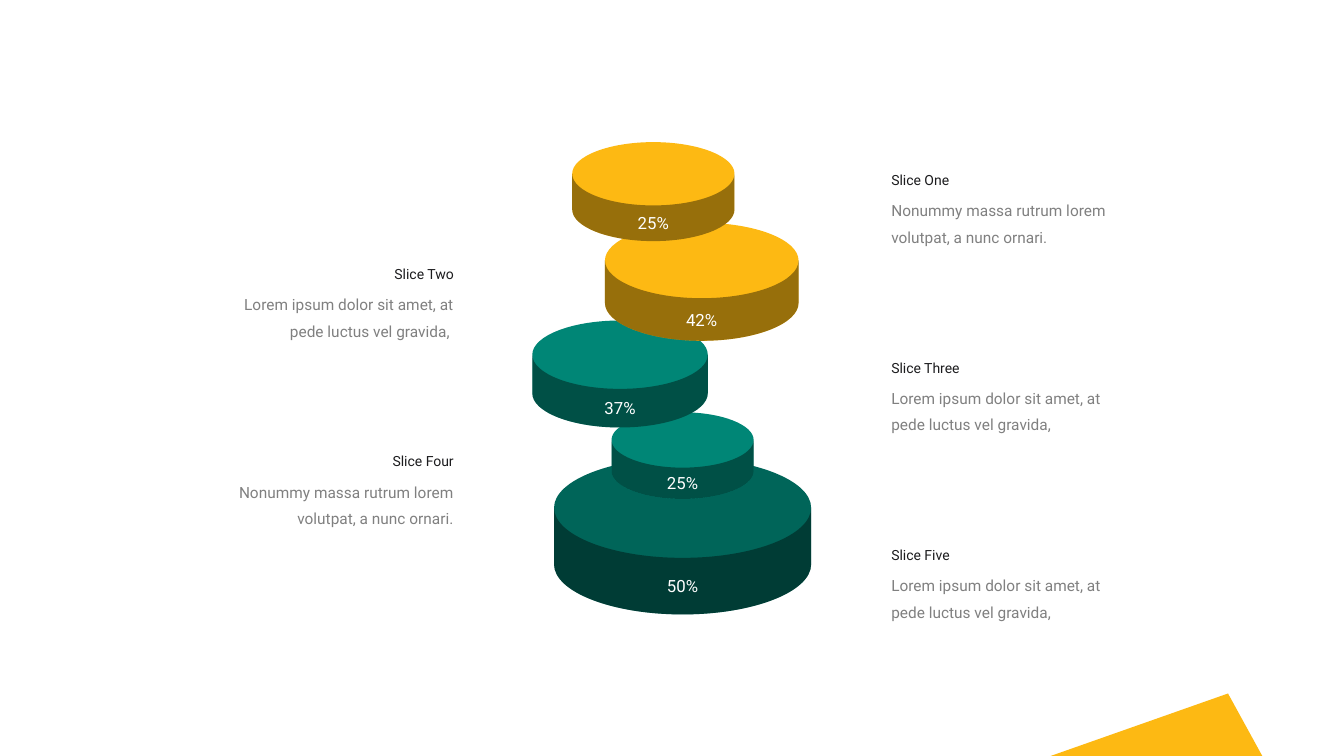
from dataclasses import dataclass

from lxml import etree
from pptx import Presentation
from pptx.dml.color import RGBColor
from pptx.enum import text
from pptx.oxml import ns
from pptx.util import Inches, Pt


@dataclass(frozen=True)
class Theme:
    font: str = "Roboto"
    yellow: str = "FDB913"
    teal: str = "008676"
    deep_teal: str = "006559"
    shade: str = "000000"
    white: str = "FFFFFF"
    ink: str = "1C1C1E"
    grey: str = "808080"
    share_size: int = 12
    heading_size: int = 10
    body_size: int = 11
    body_leading: int = 19


T = Theme()
LEFT, RIGHT = text.PP_ALIGN.LEFT, text.PP_ALIGN.RIGHT
COLUMNS = {LEFT: 8.84, RIGHT: 2.1}
FIRST_TOP, ROW_STEP = 1.65, 0.93
RIM_RATIO, SIDE_RATIO = 0.39, 0.22
CURVE = 0.55

NONUMMY = "Nonummy massa rutrum lorem volutpat, a nunc ornari."
LOREM = "Lorem ipsum dolor sit amet, at pede luctus vel gravida,"
SLICES = [
    ("Slice One", NONUMMY, LEFT, "25%", T.yellow, 6.48, 1.41, 1.61),
    ("Slice Two", LOREM + " ", RIGHT, "42%", T.yellow, 6.96, 2.21, 1.92),
    ("Slice Three", LOREM, LEFT, "37%", T.teal, 6.15, 3.18, 1.74),
    ("Slice Four", NONUMMY, RIGHT, "25%", T.teal, 6.77, 4.09, 1.41),
    ("Slice Five", LOREM, LEFT, "50%", T.deep_teal, 6.77, 4.54, 2.55),
]


def bend(sp, first):
    lines = sp._element.xpath(".//a:lnTo")[first:first + 3]
    curve = lines[0]
    for line in lines[1:]:
        curve.append(line[0])
        line.getparent().remove(line)
    curve.tag = ns.qn("a:cubicBezTo")


def add_outline(s, start, segments, color, alpha=None):
    points = [pt for segment in segments for pt in segment]
    builder = s.shapes.build_freeform(*map(Inches, start))
    builder.add_line_segments([(Inches(x), Inches(y)) for x, y in points], close=True)
    sp = builder.convert_to_shape()
    straight = 0
    for segment in segments:
        if len(segment) == 3:
            bend(sp, straight)
        else:
            straight += 1
    sp.shadow.inherit = False
    sp.fill.solid()
    sp.fill.fore_color.rgb = RGBColor.from_string(color)
    if alpha is not None:
        clr = sp._element.spPr.find(ns.qn("a:solidFill"))[0]
        etree.SubElement(clr, ns.qn("a:alpha"), val=str(alpha * 1000))
    sp.line.fill.background()


def add_text(s, content, left, top, width, height, *, size, color, align,
             anchor=text.MSO_ANCHOR.TOP, inset=0, leading=None):
    sp = s.shapes.add_textbox(*map(Inches, (left, top, width, height)))
    tf = sp.text_frame
    tf.word_wrap = True
    tf.auto_size = text.MSO_AUTO_SIZE.SHAPE_TO_FIT_TEXT
    tf.vertical_anchor = anchor
    tf.margin_left = tf.margin_right = Inches(inset)
    p = tf.paragraphs[0]
    p.alignment = align
    if leading:
        p.line_spacing = Pt(leading)
    r = p.add_run()
    r.text = content
    r.font.name = T.font
    r.font.size = Pt(size)
    r.font.color.rgb = RGBColor.from_string(color)


def half_ellipse(cx, cy, rx, ry):
    kx, ky = rx * CURVE, ry * CURVE
    return [
        [(cx - rx, cy + ky), (cx - kx, cy + ry), (cx, cy + ry)],
        [(cx + kx, cy + ry), (cx + rx, cy + ky), (cx + rx, cy)],
    ]


def add_disc(s, share, color, cx, top, width):
    rx, ry, side = width / 2, width * RIM_RATIO / 2, width * SIDE_RATIO
    rim = top + ry
    start = (cx - rx, rim + side)
    base = half_ellipse(cx, rim + side, rx, ry)
    right_edge = [(cx + rx, rim)]
    for curve_height, fill, alpha in ((-ry, color, None), (ry, T.shade, 40)):
        near, far = half_ellipse(cx, rim, -rx, curve_height)
        add_outline(s, start, base + [right_edge, near, far], fill, alpha)
    middle = rim + ry + side / 2
    add_text(s, share, cx - 0.48, middle - 0.15, 0.96, 0.3, size=T.share_size,
             color=T.white, align=text.PP_ALIGN.CENTER, inset=0.1)


def add_caption(s, heading, body, align, top):
    left = COLUMNS[align]
    add_text(s, heading, left, top, 2.4, 0.27, size=T.heading_size, color=T.ink,
             align=align, anchor=text.MSO_ANCHOR.BOTTOM)
    add_text(s, body, left, top + 0.22, 2.4, 0.63, size=T.body_size,
             color=T.grey, align=align, leading=T.body_leading)


def main():
    prs = Presentation()
    prs.slide_width, prs.slide_height = Inches(13.33), Inches(7.5)
    s = prs.slides.add_slide(prs.slide_layouts[6])
    add_outline(s, (12.18, 6.88), [[(10.42, 7.5)], [(12.52, 7.5)]], T.yellow)
    for _, _, _, *disc in reversed(SLICES):
        add_disc(s, *disc)
    for i, (heading, body, align, *_) in enumerate(SLICES):
        add_caption(s, heading, body, align, FIRST_TOP + i * ROW_STEP)
    prs.save("out.pptx")


if __name__ == "__main__":
    main()
